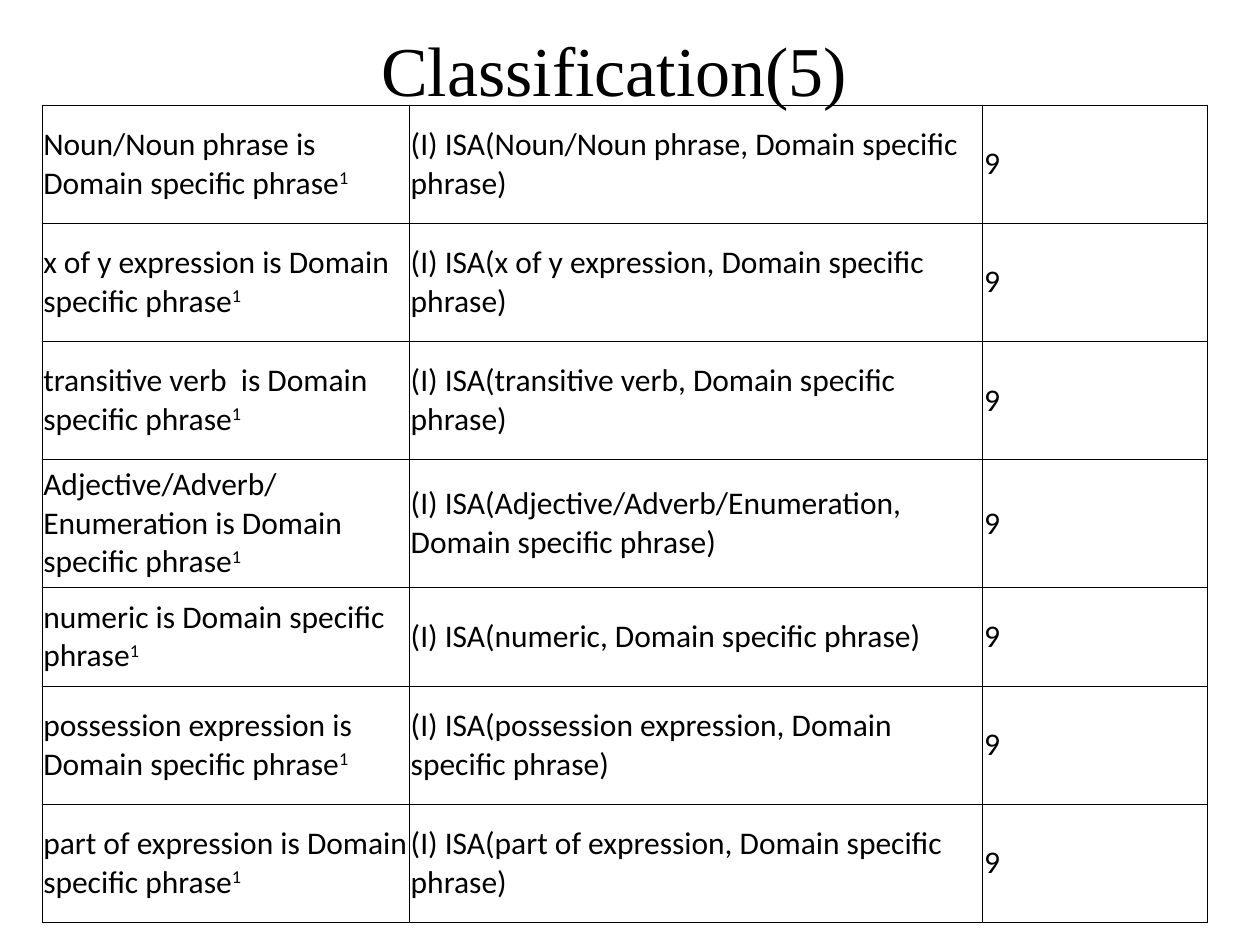
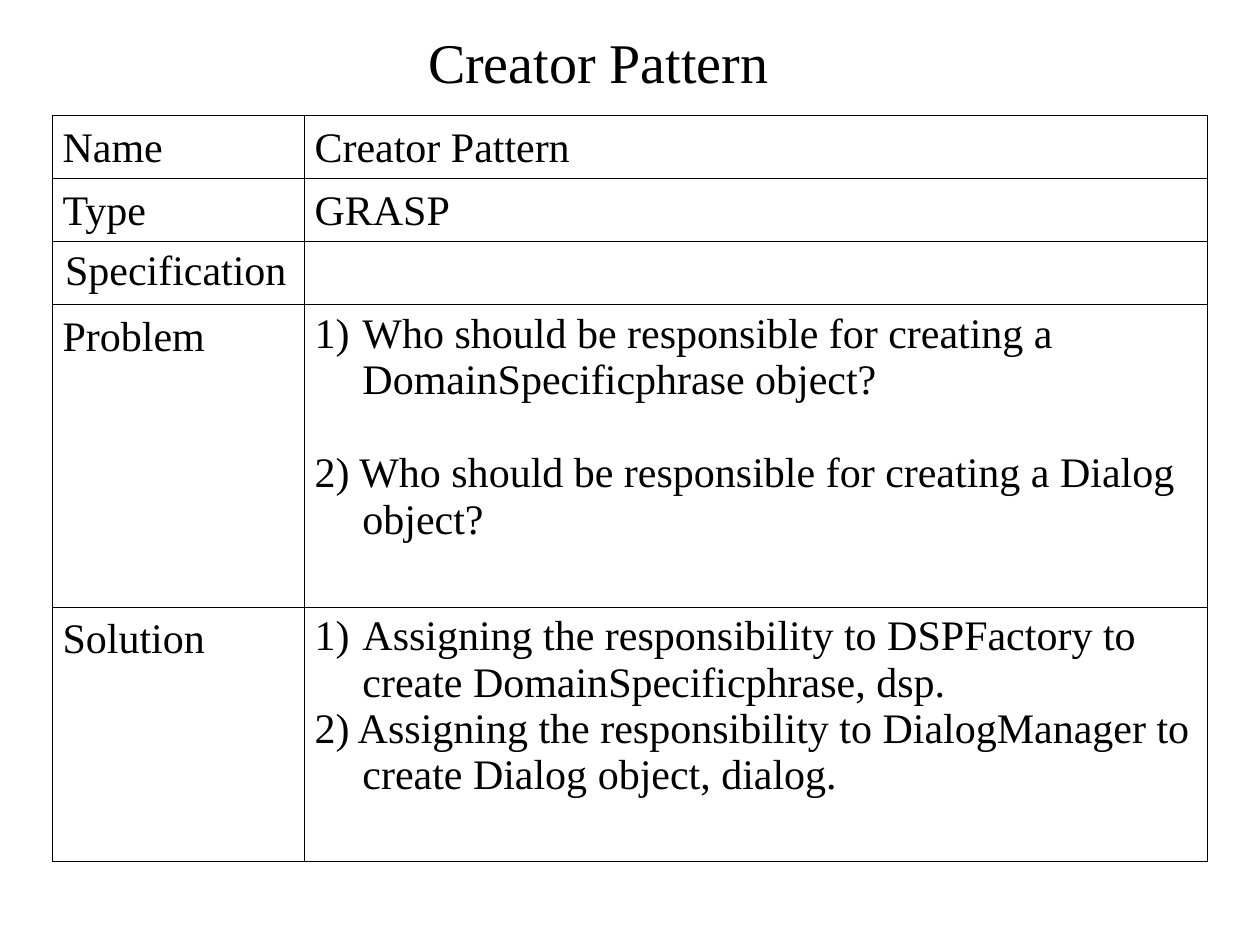
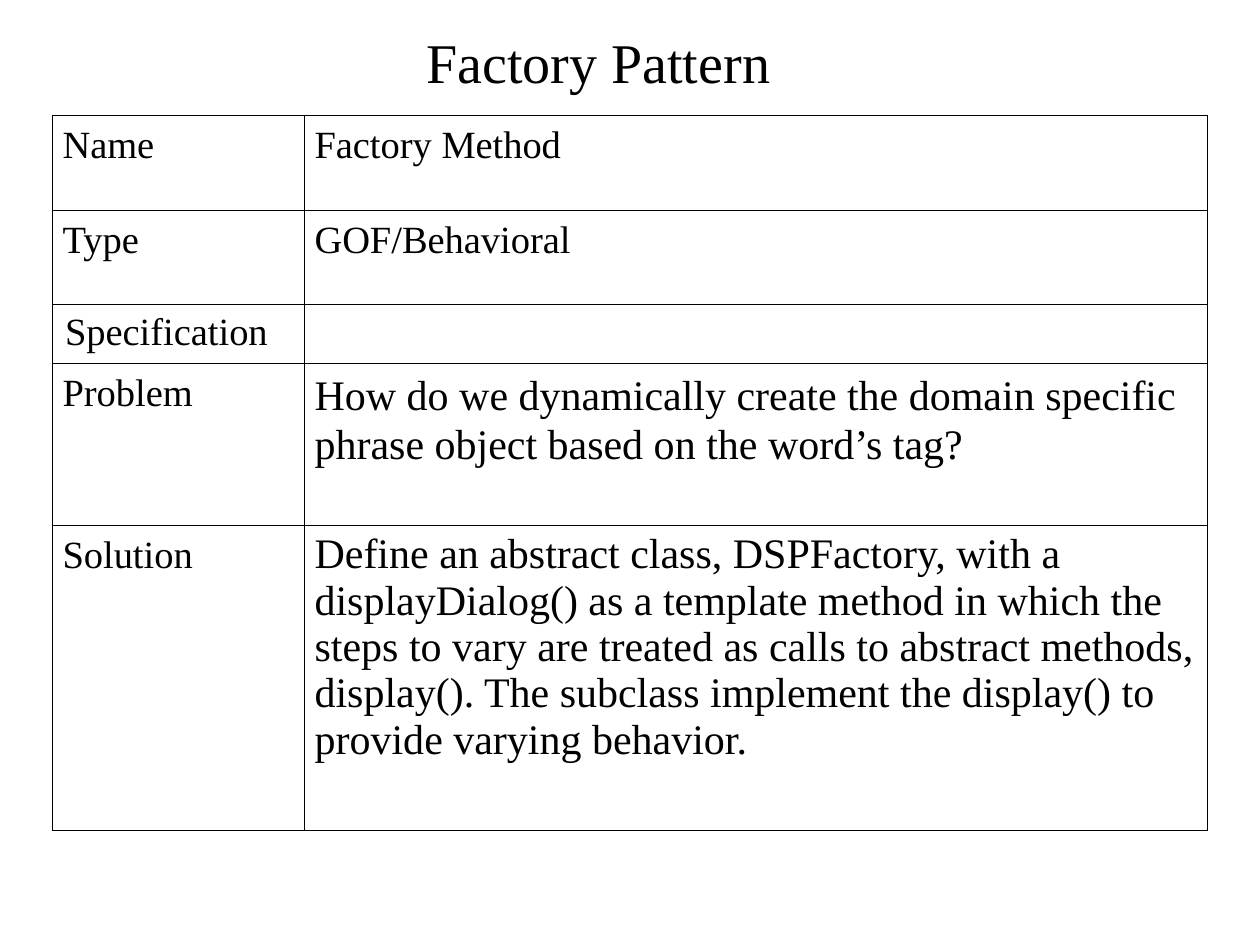
from lxml import etree
from pptx import Presentation
from pptx.dml.color import RGBColor
from pptx.enum.text import MSO_ANCHOR, MSO_AUTO_SIZE, PP_ALIGN
from pptx.oxml.ns import qn
from pptx.util import Inches, Pt

CENTER = PP_ALIGN.CENTER
TOP, MIDDLE = MSO_ANCHOR.TOP, MSO_ANCHOR.MIDDLE
NO_AUTOFIT = MSO_AUTO_SIZE.NONE

BLACK = RGBColor(0x00, 0x00, 0x00)
SERIF = "Times New Roman"
SANS = "Calibri"
BORDER_WIDTH = Pt(0.45)
LABEL_SPACING = 1.07
LIST_INDENT = Inches(0.38)
BLANK_LINE = Pt(26.6)

# The slide is a grid of 120 columns by 90 rows
SLIDE_WIDTH, SLIDE_HEIGHT = Inches(10), Inches(7.5)
UNIT = SLIDE_WIDTH / 120

# Boxes in grid units: left, top, width, height
CLASSIFICATION_TITLE = (7, 3, 103, 7)
PATTERN_TITLE = (6, 3.6, 102, 4.4)
CLASSIFICATION_ORIGIN = (4, 10)
PATTERN_ORIGIN = (5, 11)
CLASSIFICATION_COLUMNS = (35, 54.6, 21.4)
PATTERN_COLUMNS = (24, 86)
CLASSIFICATION_ROWS = (11.25,) * 4 + (9.4,) + (11.25,) * 2

CATEGORY = "Domain specific phrase"
SUBJECTS = (
    "Noun/Noun phrase",
    "x of y expression",
    "transitive verb ",
    "Adjective/Adverb/Enumeration",
    "numeric",
    "possession expression",
    "part of expression",
)


def grid(units):
    return round(units * UNIT)


def add_run(paragraph, text, size, font=SERIF):
    run = paragraph.add_run()
    run.text = text
    run.font.size = Pt(size)
    run.font.name = font
    run.font.color.rgb = BLACK
    return run


def add_titled_slide(presentation, text, box, size):
    slide = presentation.slides.add_slide(presentation.slide_layouts[5])
    title = slide.shapes.title
    title.left, title.top, title.width, title.height = map(grid, box)
    frame = title.text_frame
    frame.auto_size = NO_AUTOFIT
    frame.vertical_anchor = MIDDLE
    paragraph = frame.paragraphs[0]
    paragraph.alignment = CENTER
    add_run(paragraph, text, size)
    return slide


def style_cell(cell):
    """Leave the cell unfilled, with a thin line on all four sides."""
    properties = cell._tc.get_or_add_tcPr()
    for side in ("a:lnL", "a:lnR", "a:lnT", "a:lnB"):
        line = etree.SubElement(properties, qn(side), w=str(BORDER_WIDTH))
        fill = etree.SubElement(line, qn("a:solidFill"))
        etree.SubElement(fill, qn("a:srgbClr"), val=str(BLACK))
    cell.fill.background()


def add_ruled_table(slide, origin, columns, rows):
    left, top = origin
    frame = slide.shapes.add_table(
        len(rows), len(columns), grid(left), grid(top), grid(sum(columns)), grid(sum(rows)))
    table = frame.table
    table.first_row = table.horz_banding = False
    for column, width in zip(table.columns, columns):
        column.width = grid(width)
    for row, height in zip(table.rows, rows):
        row.height = grid(height)
    for cell in table.iter_cells():
        style_cell(cell)
    return table


def open_cell(cell, side_margin, anchor=TOP):
    """Set the cell's margins and return its first paragraph."""
    cell.margin_left = cell.margin_right = Inches(side_margin)
    cell.margin_top = cell.margin_bottom = Inches(0.05)
    cell.vertical_anchor = anchor
    return cell.text_frame.paragraphs[0]


def add_classification_slide(presentation):
    slide = add_titled_slide(presentation, "Classification(5)", CLASSIFICATION_TITLE, 40)
    table = add_ruled_table(
        slide, CLASSIFICATION_ORIGIN, CLASSIFICATION_COLUMNS, CLASSIFICATION_ROWS)
    for row, subject in zip(table.rows, SUBJECTS):
        texts = (f"{subject} is {CATEGORY}", f"(I) ISA({subject.strip()}, {CATEGORY})", "9")
        paragraphs = [open_cell(cell, 0.01, MIDDLE) for cell in row.cells]
        for paragraph, text in zip(paragraphs, texts):
            add_run(paragraph, text, 18, SANS)
        # Footnote mark
        mark = add_run(paragraphs[0], "1", 18, SANS)
        mark.font._element.set("baseline", "30000")


def fill_line(cell, text, size, spacing=LABEL_SPACING, side_margin=0.08):
    paragraph = open_cell(cell, side_margin)
    paragraph.line_spacing = spacing
    add_run(paragraph, text, size)


def fill_numbered_list(cell, first, second, gap):
    """The first item is numbered automatically, the second in its text."""
    numbered = open_cell(cell, 0.08)
    typed = cell.text_frame.add_paragraph()
    for paragraph, text in ((numbered, first), (typed, second)):
        properties = paragraph._p.get_or_add_pPr()
        properties.set("marL", str(LIST_INDENT))
        properties.set("indent", str(-LIST_INDENT))
        if paragraph is numbered:
            etree.SubElement(properties, qn("a:buAutoNum"), type="arabicParenR")
        add_run(paragraph, text, 24)
    typed.space_before = gap


def add_pattern_slide(presentation, title, name, kind, rows, size):
    """Add the name, type and row labels; return the problem and solution cells."""
    slide = add_titled_slide(presentation, title, PATTERN_TITLE, 32)
    table = add_ruled_table(slide, PATTERN_ORIGIN, PATTERN_COLUMNS, rows)
    for index, label in enumerate(("Name", "Type", "Specification", "Problem", "Solution")):
        if label == "Specification":
            fill_line(table.cell(index, 0), label, size, spacing=1.0, side_margin=0.1)
        else:
            fill_line(table.cell(index, 0), label, size)
    fill_line(table.cell(0, 1), name, size)
    fill_line(table.cell(1, 1), kind, size)
    return table.cell(3, 1), table.cell(4, 1)


def add_creator_slide(presentation):
    problem, solution = add_pattern_slide(
        presentation, "Creator Pattern", "Creator Pattern", "GRASP",
        rows=(6, 6, 6, 28.8, 24.2), size=24)
    fill_numbered_list(
        problem,
        "Who should be responsible for creating a DomainSpecificphrase object?",
        "2) Who should be responsible for creating a Dialog object?",
        gap=BLANK_LINE)
    fill_numbered_list(
        solution,
        "Assigning the responsibility to DSPFactory to create DomainSpecificphrase, dsp.",
        "2) Assigning the responsibility to DialogManager to create Dialog object, dialog.",
        gap=Pt(0))


def add_factory_slide(presentation):
    problem, solution = add_pattern_slide(
        presentation, "Factory Pattern", "Factory Method", "GOF/Behavioral",
        rows=(9, 9, 5.6, 15.4, 29.1), size=22)
    fill_line(
        problem,
        "How do we dynamically create the domain specific phrase object "
        "based on the word’s tag?", 24)
    fill_line(
        solution,
        "Define an abstract class, DSPFactory, with a displayDialog() as a template method "
        "in which the steps to vary are treated as calls to abstract methods, display(). "
        "The subclass implement the display() to provide varying behavior.", 24, spacing=1.0)


def main():
    presentation = Presentation()
    presentation.slide_width, presentation.slide_height = SLIDE_WIDTH, SLIDE_HEIGHT
    add_classification_slide(presentation)
    add_creator_slide(presentation)
    add_factory_slide(presentation)
    presentation.save("out.pptx")


if __name__ == "__main__":
    main()
